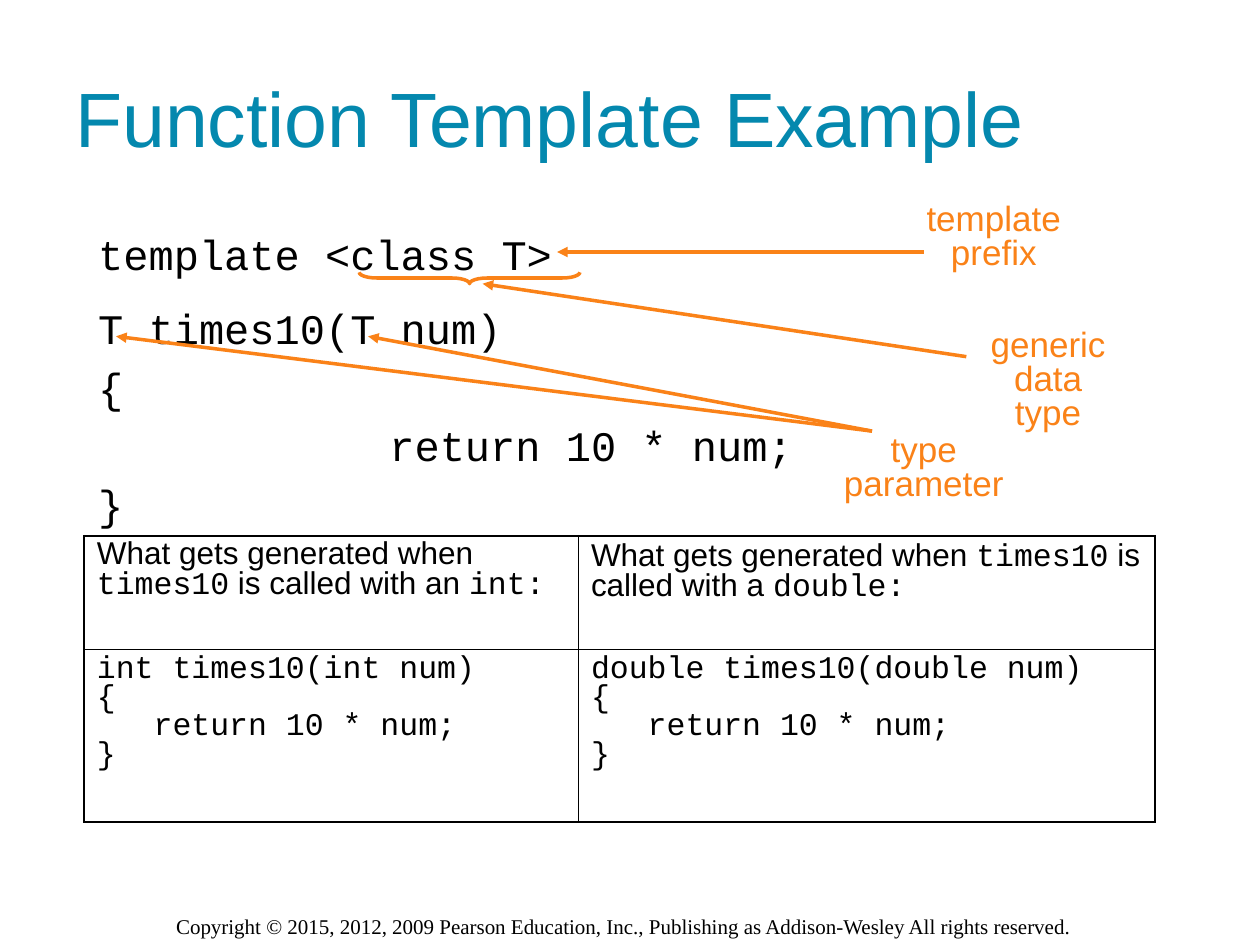
"""Build the slide that explains a C++ function template with annotated code."""
from dataclasses import dataclass

import lxml.etree
import pptx
import pptx.dml.color
import pptx.enum.shapes
import pptx.enum.text
import pptx.oxml.ns
import pptx.util

Cm, Pt = pptx.util.Cm, pptx.util.Pt
RGB = pptx.dml.color.RGBColor
qn = pptx.oxml.ns.qn
ALIGN = pptx.enum.text.PP_ALIGN
SHAPE = pptx.enum.shapes.MSO_SHAPE


@dataclass(frozen=True)
class Theme:
    black: RGB = RGB(0x00, 0x00, 0x00)
    blue: RGB = RGB(0x04, 0x88, 0xAE)
    orange: RGB = RGB(0xFA, 0x82, 0x18)
    sans: str = "Arial"
    mono: str = "Courier New"
    serif: str = "Times New Roman"
    title: Pt = Pt(44)
    code: Pt = Pt(24)
    label: Pt = Pt(20)
    table: Pt = Pt(18)
    footer: Pt = Pt(12)
    line: Pt = Pt(2)
    outer: Pt = Pt(1.08)
    inner: Pt = Pt(0.45)


theme = Theme()


def style(font, name, size, color):
    font.name, font.size, font.color.rgb = name, size, color


def add_text(box, lines, name, size, color, wrap=True):
    tf = slide.shapes.add_textbox(*map(Cm, box)).text_frame
    tf.word_wrap = wrap
    tf.text = "\n".join(lines)
    for p in tf.paragraphs:
        style(p.font, name, size, color)
    return tf


prs = pptx.Presentation()
prs.slide_width, prs.slide_height = Cm(25.4), Cm(19.05)
slide = prs.slides.add_slide(prs.slide_layouts[6])

add_text((3.3, 18.29, 18.85, 0.76),
         ["Copyright © 2015, 2012, 2009 Pearson Education, Inc., "
          "Publishing as Addison-Wesley All rights reserved."],
         theme.serif, theme.footer, theme.black)
tf = add_text((1.27, 0.76, 22.86, 3.18), ["Function Template Example"],
              theme.sans, theme.title, theme.blue)
tf.vertical_anchor = pptx.enum.text.MSO_ANCHOR.MIDDLE

code = ["template <class T>", "T times10(T num)", "{", "return 10 * num;", "}"]
tf = add_text((0.46, 4.6, 23.04, 8.6), code,
              theme.mono, theme.code, theme.black)
for p, space, margin in zip(tf.paragraphs, (0, 16.5, 7.5, 7.5, 7.5),
                            (1.27, 1.27, 1.27, 7.14, 1.27)):
    p.line_spacing = 0.9
    p.space_before = Pt(space)
    p._p.get_or_add_pPr().set("marL", str(Cm(margin)))

labels = [
    ((18.42, 4.01, 3.23, 1.63), ["template", "prefix"]),
    ((19.43, 6.55, 3.4, 1.63), ["generic", "data type"]),
    ((16.76, 8.66, 3.73, 1.63), ["type", "parameter"]),
]
for box, lines in labels:
    tf = add_text(box, lines, theme.sans, theme.label, theme.orange, wrap=False)
    for p in tf.paragraphs:
        p.alignment, p.line_spacing = ALIGN.CENTER, 0.8

arrows = [
    (18.62, 5.08, 11.23, 5.08),
    (19.48, 7.19, 9.73, 5.72),
    (17.58, 8.69, 7.42, 6.78),
    (17.58, 8.69, 2.34, 6.78),
]
for ends in arrows:
    line = slide.shapes.add_connector(
        pptx.enum.shapes.MSO_CONNECTOR.STRAIGHT, *map(Cm, ends))
    line.line.color.rgb, line.line.width = theme.orange, theme.line
    ln = line.line._get_or_add_ln()
    lxml.etree.SubElement(ln, qn("a:tailEnd"), type="triangle")
    lxml.etree.SubElement(line._element.spPr, qn("a:effectLst"))

brace = slide.shapes.add_shape(SHAPE.RIGHT_BRACE, Cm(9.35), Cm(3.38), Cm(0.23), Cm(4.45))
brace.rotation = 90
brace.adjustments[0] = 1.55
brace.shadow.inherit = False
brace.fill.background()
brace.line.color.rgb, brace.line.width = theme.orange, theme.line

table = slide.shapes.add_table(2, 2, Cm(1.7), Cm(10.8), Cm(21.59), Cm(5.77)).table
table.first_row = table.horz_banding = False
for col, width in zip(table.columns, (9.96, 11.63)):
    col.width = Cm(width)
for row, height in zip(table.rows, (2.29, 3.48)):
    row.height = Cm(height)

for c, (article, kind) in enumerate([("an", "int"), ("a", "double")]):
    heading = [("What gets generated when ", theme.sans), ("times10", theme.mono),
               (f" is called with {article} ", theme.sans), (f"{kind}:", theme.mono)]
    body = [f"{kind} times10({kind} num)", "{", "   return 10 * num;", "}"]
    p = table.cell(0, c).text_frame.paragraphs[0]
    for text, name in heading:
        r = p.add_run()
        r.text = text
        r.font.name = name
    table.cell(1, c).text_frame.text = "\n".join(body)

    for row in range(2):
        cell = table.cell(row, c)
        for p in cell.text_frame.paragraphs:
            p.line_spacing = 0.8
            style(p.font, theme.mono, theme.table, theme.black)
        tcPr = cell._tc.get_or_add_tcPr()
        for side, outer in zip("LRTB", (c == 0, c == 1, row == 0, row == 1)):
            width = theme.outer if outer else theme.inner
            ln = lxml.etree.SubElement(tcPr, qn(f"a:ln{side}"), w=str(width))
            fill = lxml.etree.SubElement(ln, qn("a:solidFill"))
            lxml.etree.SubElement(fill, qn("a:srgbClr"), val=str(theme.black))
        cell.fill.background()

prs.save("out.pptx")
